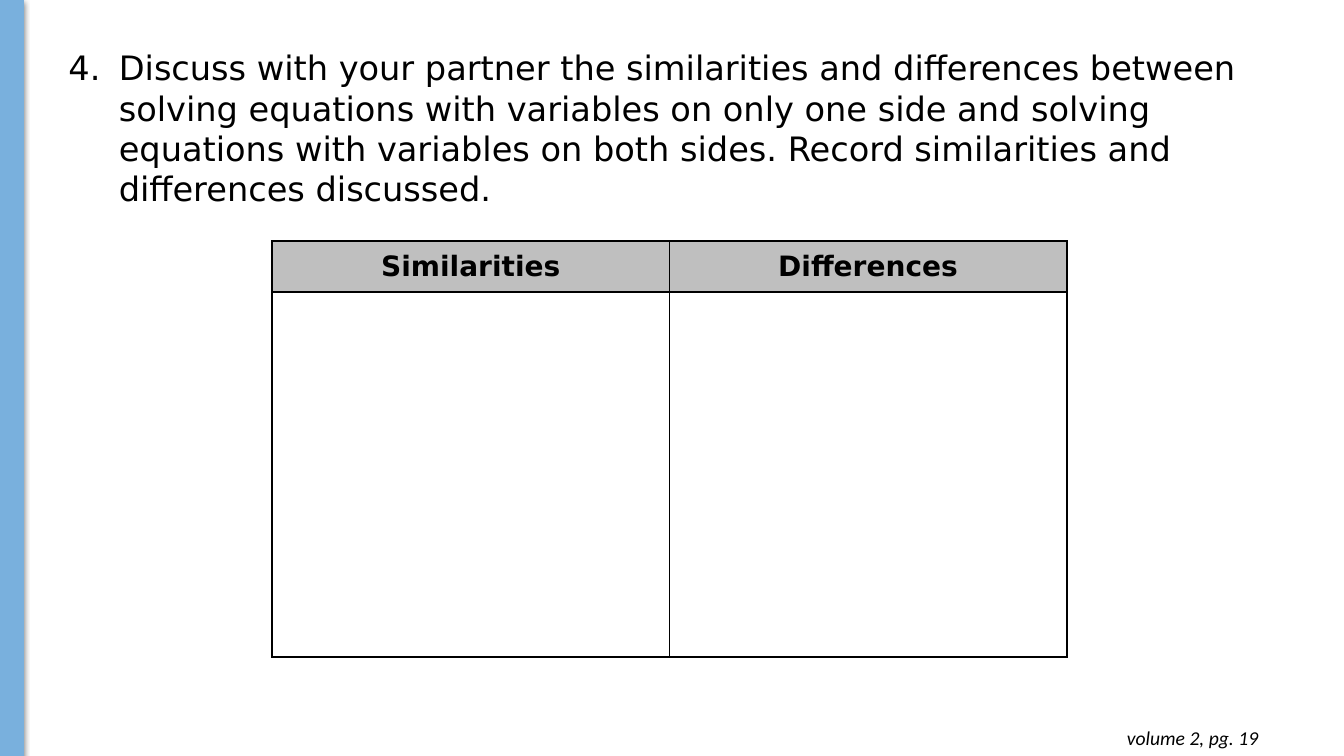
from dataclasses import dataclass

import pptx
import pptx.dml.color
import pptx.enum.shapes
import pptx.enum.text
import pptx.oxml
import pptx.oxml.ns
import pptx.util

Inches = pptx.util.Inches
Pt = pptx.util.Pt
RGBColor = pptx.dml.color.RGBColor
Align = pptx.enum.text.PP_ALIGN
Anchor = pptx.enum.text.MSO_ANCHOR
NAMESPACE = pptx.oxml.ns.nsdecls("a")


@dataclass(frozen=True)
class Theme:
    accent: str = "79B0DD"
    ink: str = "000000"
    header: str = "BFBFBF"
    body_font: str = "DejaVu Sans"
    footer_font: str = "Calibri"
    question_size: int = 24
    header_size: int = 20
    footer_size: int = 14
    border_width: float = 1.5


THEME = Theme()


def style_font(paragraph, name, size, bold=False, italic=False):
    for run in paragraph.runs:
        run.font.name = name
        run.font.size = Pt(size)
        run.font.bold = bold
        run.font.italic = italic
        run.font.color.rgb = RGBColor.from_string(THEME.ink)


def add_text(slide, box, text):
    """Add a wrapping text box that grows with its text; return its frame."""
    frame = slide.shapes.add_textbox(*map(Inches, box)).text_frame
    frame.word_wrap = True
    frame.auto_size = pptx.enum.text.MSO_AUTO_SIZE.SHAPE_TO_FIT_TEXT
    frame.text = text
    return frame


def add_side_bar(slide, box):
    shape = slide.shapes.add_shape(
        pptx.enum.shapes.MSO_SHAPE.RECTANGLE, *map(Inches, box))
    color = RGBColor.from_string(THEME.accent)
    shape.fill.solid()
    shape.fill.fore_color.rgb = color
    shape.line.color.rgb = color
    shape.line.width = Pt(0.75)
    shape.shadow.inherit = False
    effects = shape._element.spPr.find(pptx.oxml.ns.qn("a:effectLst"))
    effects.append(pptx.oxml.parse_xml(
        f'<a:outerShdw {NAMESPACE} blurRad="{Pt(4.5)}" dist="{Pt(1.5)}" '
        f'dir="5400000" rotWithShape="0"><a:srgbClr val="{THEME.ink}">'
        '<a:alpha val="50000"/></a:srgbClr></a:outerShdw>'))


def add_question(slide, box, number, text):
    """Add a numbered question with a hanging indent."""
    paragraph = add_text(slide, box, text).paragraphs[0]
    properties = paragraph._p.get_or_add_pPr()
    properties.set("marL", str(Inches(0.5)))
    properties.set("indent", str(Inches(-0.5)))
    for bullet in (
            f'<a:buClr {NAMESPACE}><a:srgbClr val="{THEME.ink}"/></a:buClr>',
            f'<a:buAutoNum {NAMESPACE} type="arabicPeriod" startAt="{number}"/>'):
        properties.append(pptx.oxml.parse_xml(bullet))
    style_font(paragraph, THEME.body_font, THEME.question_size)


def add_borders(cell):
    properties = cell._tc.get_or_add_tcPr()
    for side in "LRTB":
        properties.append(pptx.oxml.parse_xml(
            f'<a:ln{side} {NAMESPACE} w="{Pt(THEME.border_width)}"><a:solidFill>'
            f'<a:srgbClr val="{THEME.ink}"/></a:solidFill></a:ln{side}>'))


def add_comparison_table(slide, box, headings, header_height):
    """Add a table with a heading row above one empty row for notes."""
    left, top, width, height = box
    table = slide.shapes.add_table(
        2, len(headings), *map(Inches, box)).table
    table.first_row = False
    table.horz_banding = False
    table.rows[0].height = Inches(header_height)
    table.rows[1].height = Inches(height - header_height)
    for column in table.columns:
        column.width = Inches(width / len(headings))
    for cell in table.iter_cells():
        add_borders(cell)
        cell.fill.background()
    for cell, heading in zip(table.rows[0].cells, headings):
        cell.fill.solid()
        cell.fill.fore_color.rgb = RGBColor.from_string(THEME.header)
        cell.vertical_anchor = Anchor.MIDDLE
        cell.margin_left = cell.margin_right = Inches(0.04)
        cell.margin_top = cell.margin_bottom = 0
        cell.text_frame.text = heading
        paragraph = cell.text_frame.paragraphs[0]
        paragraph.alignment = Align.CENTER
        style_font(paragraph, THEME.body_font, THEME.header_size, bold=True)


def add_page_reference(slide, box, text):
    frame = add_text(slide, box, text)
    frame.margin_top = frame.margin_bottom = Inches(0.1)
    paragraph = frame.paragraphs[0]
    paragraph.alignment = Align.RIGHT
    style_font(paragraph, THEME.footer_font, THEME.footer_size, italic=True)


def main():
    presentation = pptx.Presentation()
    presentation.slide_width = Inches(13.33)
    presentation.slide_height = Inches(7.5)
    slide = presentation.slides.add_slide(presentation.slide_layouts[6])
    add_side_bar(slide, (-0.01, 0, 0.24, 7.51))
    add_question(
        slide, (0.58, 0.42, 11.81, 1.72), 4,
        "Discuss with your partner the similarities and differences between "
        "solving equations with variables on only one side and solving "
        "equations with variables on both sides. Record similarities and "
        "differences discussed.")
    add_comparison_table(
        slide, (2.7, 2.39, 7.88, 4.13), ("Similarities", "Differences"), 0.51)
    add_page_reference(slide, (9.7, 7.1, 2.88, 0.44), "volume 2, pg. 19")
    presentation.save("out.pptx")


if __name__ == "__main__":
    main()
